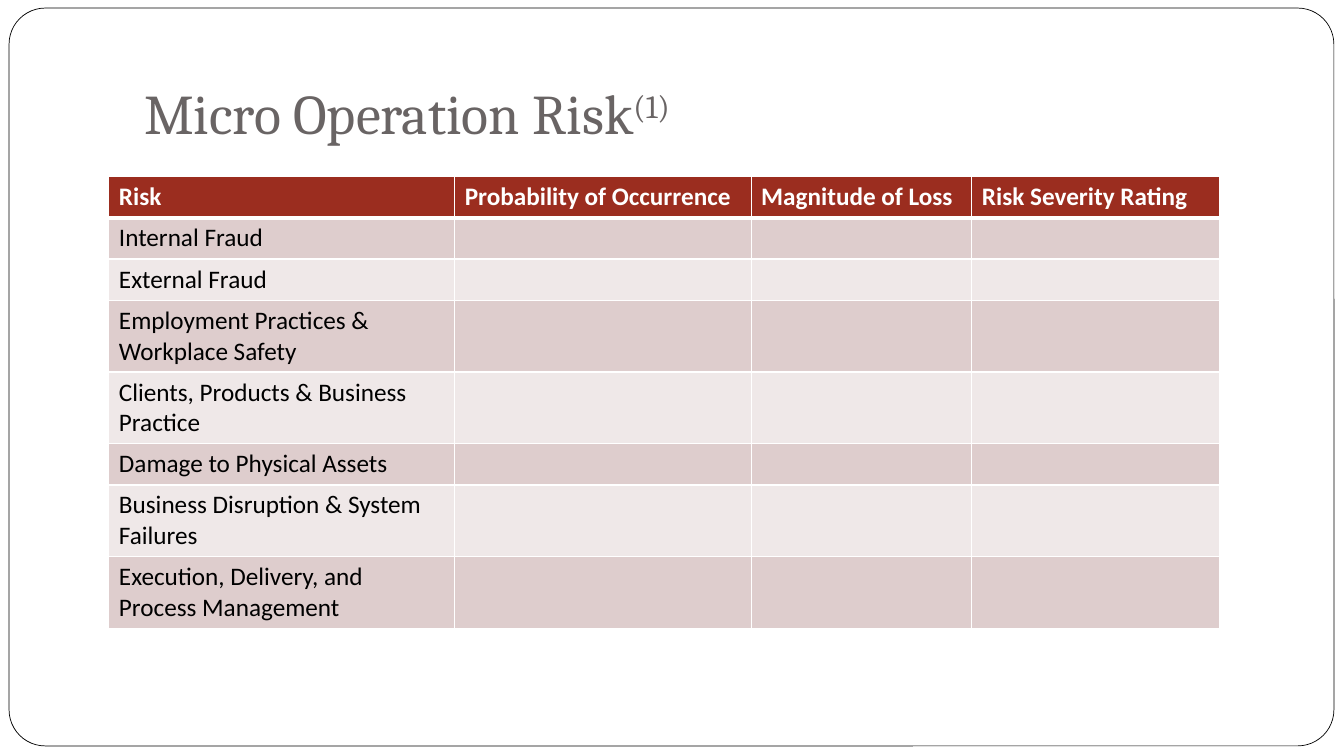
from lxml.etree import SubElement
from pptx import Presentation
from pptx.dml.color import RGBColor
from pptx.enum.shapes import MSO_SHAPE as Shape
from pptx.enum.text import MSO_ANCHOR as Anchor, MSO_AUTO_SIZE as AutoSize, PP_ALIGN as Align
from pptx.oxml.ns import qn
from pptx.util import Inches, Pt

HEADINGS = ["Risk", "Probability of Occurrence", "Magnitude of Loss", "Risk Severity Rating"]
RISKS = [
    "Internal Fraud",
    "External Fraud",
    "Employment Practices & Workplace Safety",
    "Clients, Products & Business Practice",
    "Damage to Physical Assets",
    "Business Disruption & System Failures",
    "Execution, Delivery, and Process Management",
]
COLUMN_WIDTHS = [3.43, 2.94, 2.19, 2.46]
ROW_HEIGHT = 0.41


def color(hex_string):
    return RGBColor.from_string(hex_string)


class RiskSlide:
    title_font, body_font = "Cambria", "Calibri"
    white, black, gray = "FFFFFF", "000000", "696464"
    header_fill = "9B2D1F"
    bands = ["DECDCD", "EFE8E8"]

    def __init__(self, deck):
        self.slide = deck.slides.add_slide(deck.slide_layouts[5])

    def frame(self, left, top, width, height):
        """Draw the rounded page border behind everything else."""
        border = self.slide.shapes.add_shape(
            Shape.ROUNDED_RECTANGLE, Inches(left), Inches(top), Inches(width), Inches(height))
        border.adjustments[0] = 0.049
        border.shadow.inherit = False
        border.fill.solid()
        border.fill.fore_color.rgb = color(self.white)
        border.line.color.rgb = color(self.black)
        border.line.width = Pt(0.5)
        self.slide.shapes._spTree.insert(2, border._element)

    def title(self, text, footnote, left, top, width, height):
        heading = self.slide.shapes.title
        heading.left, heading.top = Inches(left), Inches(top)
        heading.width, heading.height = Inches(width), Inches(height)
        frame = heading.text_frame
        frame.auto_size = AutoSize.NONE
        frame.vertical_anchor = Anchor.BOTTOM
        frame.margin_left = frame.margin_right = frame.margin_bottom = Inches(0.1)
        frame.margin_top = Inches(0.05)
        paragraph = frame.paragraphs[0]
        paragraph.alignment = Align.LEFT
        paragraph.font.name = self.title_font
        paragraph.font.size = Pt(40)
        paragraph.font.color.rgb = color(self.gray)
        paragraph.add_run().text = text
        superscript = paragraph.add_run()
        superscript.text = footnote
        superscript.font._element.set("baseline", "30000")

    def table(self, headings, risks, left, top):
        rows = [headings] + [[risk] + [""] * (len(headings) - 1) for risk in risks]
        grid = self.slide.shapes.add_table(
            len(rows), len(headings), Inches(left), Inches(top),
            Inches(sum(COLUMN_WIDTHS)), Inches(ROW_HEIGHT * len(rows))).table
        for column, width in zip(grid.columns, COLUMN_WIDTHS):
            column.width = Inches(width)
        for row_index, texts in enumerate(rows):
            grid.rows[row_index].height = Inches(ROW_HEIGHT)
            for column_index, text in enumerate(texts):
                self.cell(grid.cell(row_index, column_index), text, row_index)

    def cell(self, cell, text, row_index):
        is_header = row_index == 0
        self.cell_borders(cell, top=3 if row_index == 1 else 1, bottom=3 if is_header else 1)
        cell.fill.solid()
        cell.fill.fore_color.rgb = color(
            self.header_fill if is_header else self.bands[(row_index - 1) % 2])
        cell.text = text
        font = cell.text_frame.paragraphs[0].font
        font.name, font.size, font.bold = self.body_font, Pt(18), is_header
        font.color.rgb = color(self.white if is_header else self.black)

    def cell_borders(self, cell, top, bottom):
        properties = cell._tc.get_or_add_tcPr()
        for side, points in {"lnL": 1, "lnR": 1, "lnT": top, "lnB": bottom}.items():
            line = SubElement(properties, qn(f"a:{side}"), w=str(Pt(points)))
            SubElement(SubElement(line, qn("a:solidFill")), qn("a:srgbClr"), val=self.white)


def main():
    deck = Presentation()
    deck.slide_width, deck.slide_height = Inches(13.33), Inches(7.5)
    page = RiskSlide(deck)
    page.frame(0.09, 0.08, 13.14, 7.32)
    page.title("Micro Operation Risk", "(1)", 1.33, 0.3, 11.33, 1.25)
    page.table(HEADINGS, RISKS, 1.08, 1.75)
    deck.save("out.pptx")


if __name__ == "__main__":
    main()
